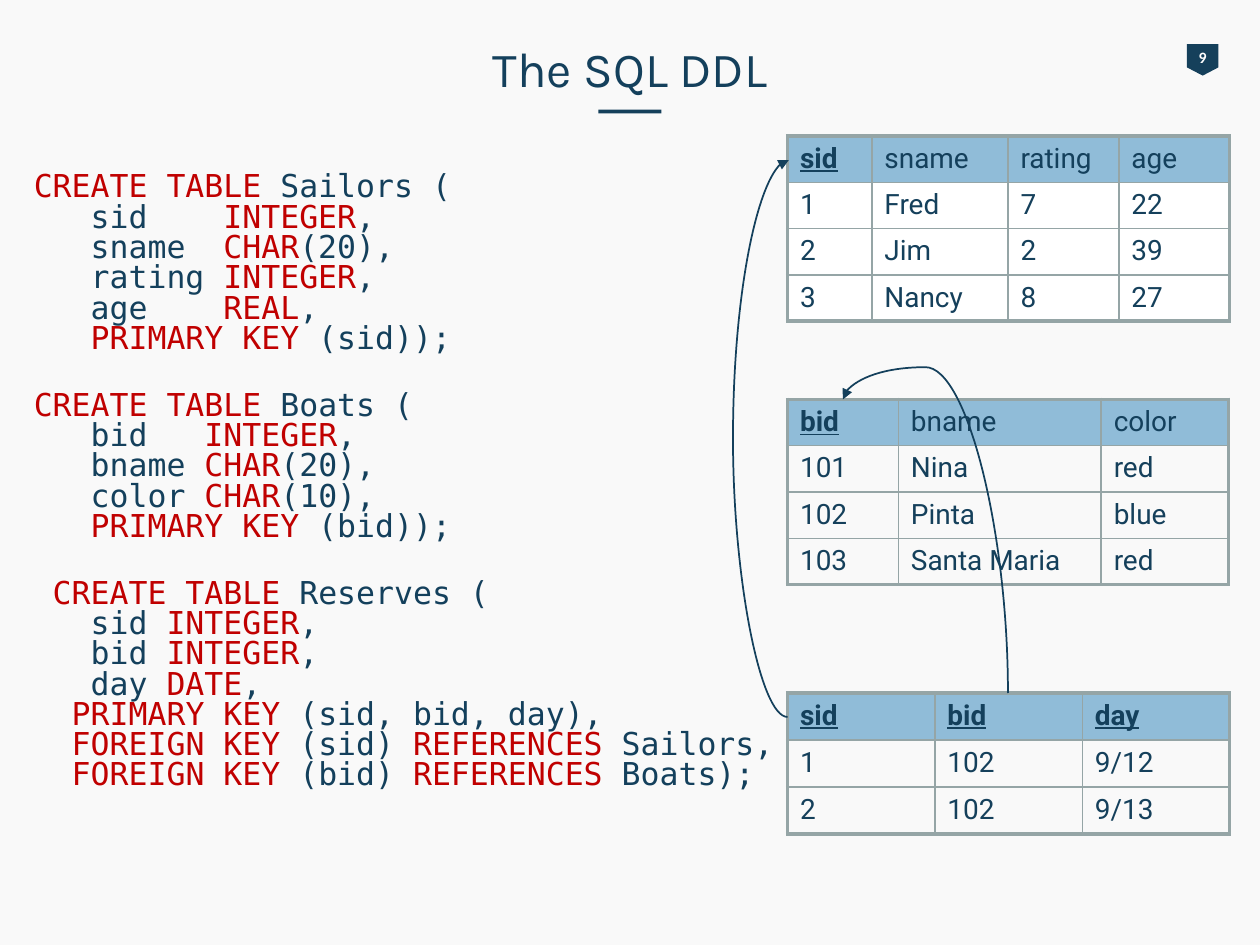
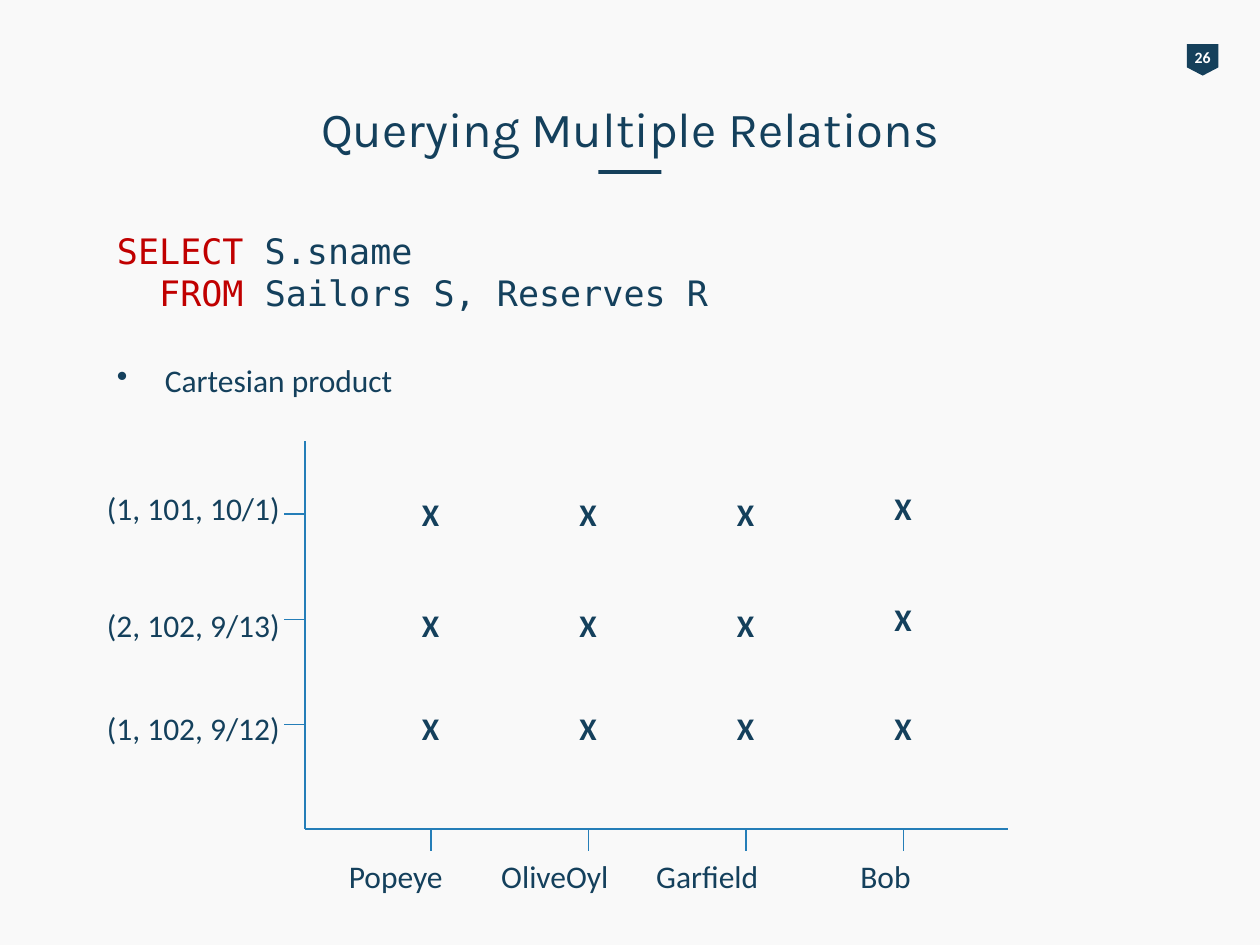
"""Build two slides on SQL: table definitions and querying several relations."""
from lxml import etree
from pptx import Presentation
from pptx.dml.color import RGBColor
from pptx.enum import shapes, text
from pptx.oxml.ns import qn
from pptx.util import Inches, Pt

NAVY = RGBColor(0x14, 0x40, 0x5C)
BADGE = RGBColor(0x15, 0x40, 0x5B)
RED = RGBColor(0xC0, 0x00, 0x00)
PAPER = RGBColor(0xF9, 0xF9, 0xF9)
WHITE = RGBColor(0xFF, 0xFF, 0xFF)
HEADER = RGBColor(0x29, 0x80, 0xB9)
AXIS = RGBColor(0x25, 0x7E, 0xB8)
BORDER = RGBColor(0x95, 0xA5, 0xA6)
CODE_FONT, TITLE_FONT, TABLE_FONT, BODY_FONT = "DejaVu Sans Mono", "Karla", "Roboto", "Calibri"

# Asterisks enclose SQL keywords.
STATEMENTS = [
    ["*CREATE TABLE *Sailors (",
     "   sid    *INTEGER*,",
     "   sname  *CHAR*(20),",
     "   rating *INTEGER*,",
     "   age    *REAL*,",
     "   *PRIMARY KEY* (sid));"],
    ["*CREATE TABLE* Boats (",
     "   bid   *INTEGER*,",
     "   bname *CHAR*(20),",
     "   color *CHAR*(10),",
     "   *PRIMARY KEY* (bid));"],
    [" *CREATE TABLE* Reserves (",
     "   sid *INTEGER*,",
     "   bid *INTEGER*,",
     "   day *DATE*,",
     "  *PRIMARY KEY* (sid, bid, day),",
     "  *FOREIGN KEY* (sid) *REFERENCES *Sailors,",
     "  *FOREIGN KEY* (bid) *REFERENCES *Boats);"],
]
QUERY = ["*SELECT *S.sname", "  *FROM* Sailors S, Reserves R"]
TABLES = [
    {"top": 1.08, "height": 1.47, "widths": [0.67, 1.08, 0.88, 0.88], "keys": ["sid"], "body": WHITE,
     "rows": [["sid", "sname", "rating", "age"], ["1", "Fred", "7", "22"],
              ["2", "Jim", "2", "39"], ["3", "Nancy", "8", "27"]]},
    {"top": 3.17, "height": 1.47, "widths": [0.88, 1.61, 1.01], "keys": ["bid"], "body": None,
     "rows": [["bid", "bname", "color"], ["101", "Nina", "red"],
              ["102", "Pinta", "blue"], ["103", "Santa Maria", "red"]]},
    {"top": 5.5, "height": 1.12, "widths": [1.17, 1.17, 1.17], "keys": ["sid", "bid", "day"], "body": None,
     "rows": [["sid", "bid", "day"], ["1", "102", "9/12"], ["2", "102", "9/13"]]},
]
TABLE_LEFT = 6.25
SAILORS = [("Popeye", 2.67, 0.95), ("OliveOyl", 3.88, 1.06), ("Garfield", 5.11, 1.02), ("Bob", 6.73, 0.61)]
RESERVES = [("(1, 101, 10/1)", 3.83, [3.88, 3.88, 3.88, 3.83]),
            ("(2, 102, 9/13)", 4.76, [4.76, 4.76, 4.76, 4.71]),
            ("(1, 102, 9/12)", 5.58, [5.58, 5.58, 5.58, 5.58])]
AXIS_LEFT, AXIS_TOP, AXIS_RIGHT, AXIS_BOTTOM, TICK = 2.42, 3.5, 8, 6.58, 0.17


def write(paragraph, content, font=BODY_FONT, size=18, color=NAVY, bold=False, underline=False,
          align=None, before=None, spacing=None):
    """Fill a paragraph, colouring the parts between asterisks red."""
    paragraph.alignment = align
    paragraph.space_before = before
    paragraph.line_spacing = spacing
    for index, part in enumerate(content.split("*")):
        if part:
            run = paragraph.add_run()
            run.text = part
            run.font.name, run.font.size = font, Pt(size)
            run.font.bold, run.font.underline = bold, underline
            run.font.color.rgb = RED if index % 2 else color


def add_box(slide, left, top, width, height, wrap=False):
    """Add an empty text box and return its text frame."""
    box = slide.shapes.add_textbox(Inches(left), Inches(top), Inches(width), Inches(height))
    box.text_frame.word_wrap = wrap
    return box.text_frame


def add_label(slide, content, left, top, width, height=0.4, **style):
    """Add a one-line text box."""
    write(add_box(slide, left, top, width, height).paragraphs[0], content, **style)


def add_solid(slide, kind, left, top, width, height):
    """Add a plain filled shape."""
    shape = slide.shapes.add_shape(kind, Inches(left), Inches(top), Inches(width), Inches(height))
    shape.shadow.inherit = False
    shape.fill.solid()
    shape.fill.fore_color.rgb = BADGE
    shape.line.fill.background()
    return shape


def add_line(slide, start, end, color, width, kind=shapes.MSO_CONNECTOR.STRAIGHT):
    """Add a connector without a shadow."""
    connector = slide.shapes.add_connector(kind, *(Inches(value) for value in (*start, *end)))
    connector.line.color.rgb = color
    connector.line.width = Pt(width)
    etree.SubElement(connector._element.spPr, qn("a:effectLst"))
    return connector


def add_curved_arrow(slide, start, end, turn, bend):
    """Add a curved arrow, turned by the given degrees and bent by a share of its length."""
    width, height = abs(end[0] - start[0]), abs(end[1] - start[1])
    if turn == 90:
        width, height = height, width
    left = (start[0] + end[0] - width) / 2
    top = (start[1] + end[1] - height) / 2
    connector = add_line(slide, (left + width, top), (left, top + height), NAVY, 1,
                         shapes.MSO_CONNECTOR.CURVE)
    properties = connector._element.spPr
    properties.find(qn("a:xfrm")).set("rot", str(turn * 60000))
    guides = properties.find(qn("a:prstGeom")).find(qn("a:avLst"))
    etree.SubElement(guides, qn("a:gd"), name="adj1", fmla=f"val {round(bend * 100000)}")
    etree.SubElement(properties.find(qn("a:ln")), qn("a:tailEnd"), type="triangle")


def add_slide(presentation, title, number, top):
    """Add a slide with its title, underline and number badge."""
    slide = presentation.slides.add_slide(presentation.slide_layouts[5])
    badge = add_solid(slide, shapes.MSO_SHAPE.PENTAGON, 9.42, 0.35, 0.25, 0.25)
    badge.rotation = 90
    badge.adjustments[0] = 0.26
    add_label(slide, number, 9.38, 0.33, 0.33, 0.25, size=9, color=WHITE, bold=True,
              align=text.PP_ALIGN.CENTER)
    holder = slide.shapes.title
    holder.left, holder.top, holder.width, holder.height = map(Inches, (0.5, top, 9, 0.57))
    holder.text_frame.vertical_anchor = text.MSO_ANCHOR.MIDDLE
    write(holder.text_frame.paragraphs[0], title, font=TITLE_FONT, size=28, align=text.PP_ALIGN.CENTER)
    add_solid(slide, shapes.MSO_SHAPE.RECTANGLE, 4.75, top + 0.62, 0.5, 0.03)
    return slide


def add_border(cell, side, width):
    """Draw one side of a table cell."""
    line = etree.SubElement(cell._tc.get_or_add_tcPr(), qn(f"a:ln{side}"), w=str(Pt(width)))
    fill = etree.SubElement(line, qn("a:solidFill"))
    etree.SubElement(fill, qn("a:srgbClr"), val=str(BORDER))


def add_relation(slide, relation):
    """Add a relation as a table with a tinted header and a thick outer border."""
    rows, widths = relation["rows"], relation["widths"]
    table = slide.shapes.add_table(len(rows), len(widths), Inches(TABLE_LEFT), Inches(relation["top"]),
                                   Inches(sum(widths)), Inches(relation["height"])).table
    table.first_row = table.horz_banding = False
    for column, width in zip(table.columns, widths):
        column.width = Inches(width)
    for r, row in enumerate(rows):
        for c, value in enumerate(row):
            cell = table.cell(r, c)
            is_key = r == 0 and value in relation["keys"]
            write(cell.text_frame.paragraphs[0], value, font=TABLE_FONT, size=16,
                  color=BADGE if r else NAVY, bold=is_key, underline=is_key)
            outer = {"L": c == 0, "R": c == len(row) - 1, "T": r == 0, "B": r == len(rows) - 1}
            for side, is_outer in outer.items():
                add_border(cell, side, 2.25 if is_outer else 1)
            color = relation["body"] if r else HEADER
            if color is None:
                cell.fill.background()
                continue
            cell.fill.solid()
            cell.fill.fore_color.rgb = color
            if r == 0:
                tint = cell._tc.tcPr.find(qn("a:solidFill"))[0]
                etree.SubElement(tint, qn("a:alpha"), val="50000")


def build_ddl(presentation):
    """Show the CREATE TABLE statements beside their relations."""
    slide = add_slide(presentation, "The SQL DDL", "9", 0.25)
    frame = add_box(slide, 0.17, 1.33, 6.17, 5.58, wrap=True)
    for s, statement in enumerate(STATEMENTS):
        for n, line in enumerate(statement):
            paragraph = frame.add_paragraph() if s or n else frame.paragraphs[0]
            write(paragraph, line, font=CODE_FONT, spacing=0.8, before=Pt(21 if s and not n else 0))
    for relation in TABLES:
        add_relation(slide, relation)
    add_curved_arrow(slide, (TABLE_LEFT, 5.69), (TABLE_LEFT + 0.01, 1.27), turn=180, bend=-44)
    add_curved_arrow(slide, (8, 5.5), (6.69, 3.17), turn=90, bend=1.11)


def build_product(presentation):
    """Show a query and the Cartesian product as a grid of crosses."""
    slide = add_slide(presentation, "Querying Multiple Relations", "26", 0.73)
    frame = add_box(slide, 0.83, 1.77, 8.35, 4.81, wrap=True)
    for n, line in enumerate(QUERY):
        write(frame.add_paragraph() if n else frame.paragraphs[0], line, font=CODE_FONT, size=20)
    bullet = frame.add_paragraph()
    write(bullet, "Cartesian product", before=Pt(27.5))
    properties = bullet._p.get_or_add_pPr()
    properties.set("marL", str(Inches(0.38)))
    properties.set("indent", str(Inches(-0.38)))
    etree.SubElement(properties, qn("a:buChar"), char="•")

    ticks_x = [AXIS_LEFT + 1 + 1.25 * n for n in range(len(SAILORS))]
    ticks_y = [4.08 + 0.835 * n for n in range(len(RESERVES))]
    corner = (AXIS_LEFT, AXIS_BOTTOM)
    lines = [((AXIS_LEFT, AXIS_TOP), corner), (corner, (AXIS_RIGHT, AXIS_BOTTOM))]
    lines += [((x, AXIS_BOTTOM), (x, AXIS_BOTTOM + TICK)) for x in ticks_x]
    lines += [((AXIS_LEFT, y), (AXIS_LEFT - TICK, y)) for y in ticks_y]
    for start, end in lines:
        add_line(slide, start, end, AXIS, 0.75)
    for name, left, width in SAILORS:
        add_label(slide, name, left, 6.75, width)
    for label, top, cross_tops in RESERVES:
        add_label(slide, label, 0.75, top, 1.59)
        for x, cross_top in zip(ticks_x, cross_tops):
            add_label(slide, "X", x - 0.17, cross_top, 0.34, bold=True)


def main():
    """Build and save the presentation."""
    presentation = Presentation()
    presentation.slide_width, presentation.slide_height = Inches(10), Inches(7.5)
    background = presentation.slide_master.background.fill
    background.solid()
    background.fore_color.rgb = PAPER
    build_ddl(presentation)
    build_product(presentation)
    presentation.save("out.pptx")


if __name__ == "__main__":
    main()
